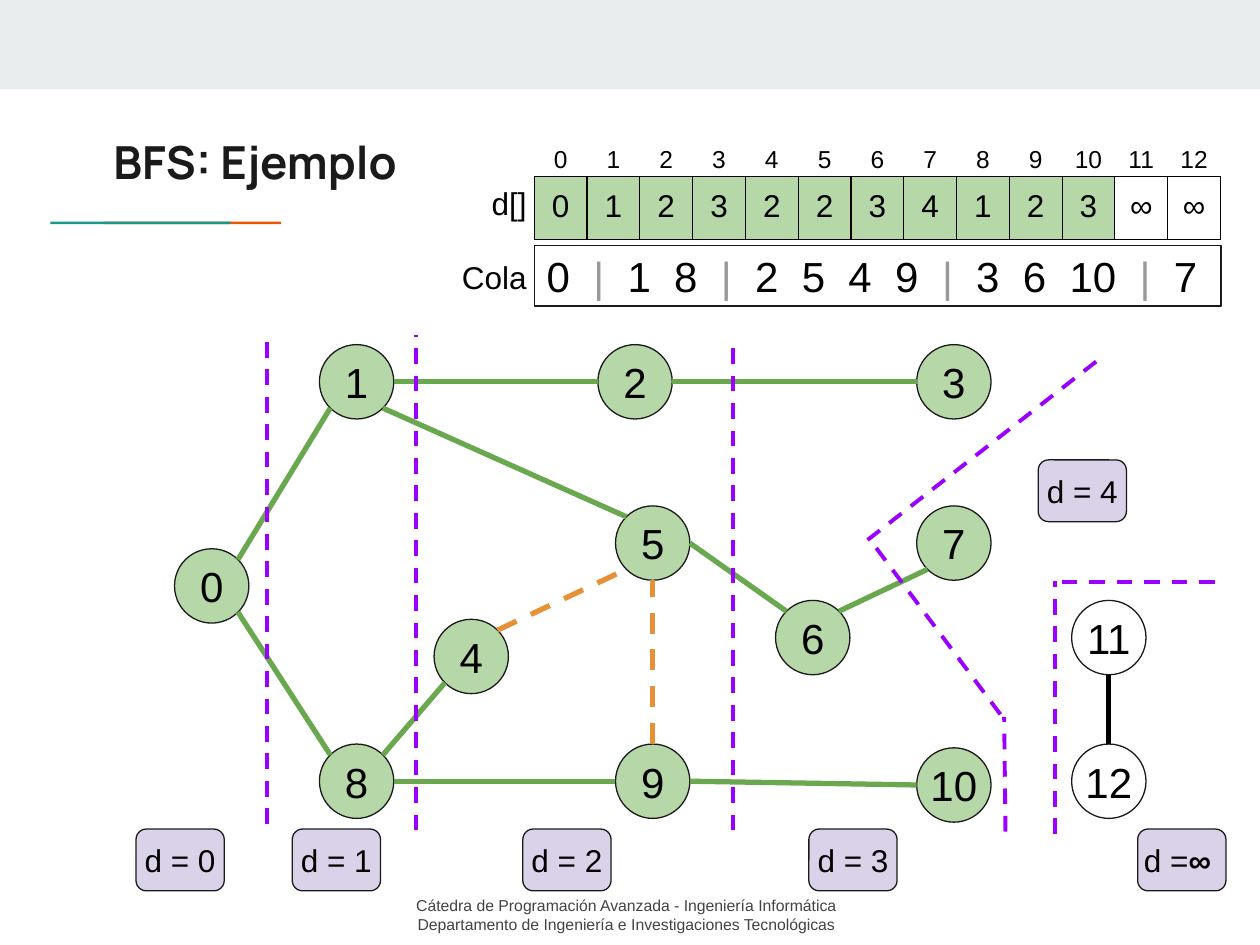
import math
from collections import namedtuple

import pptx
import pptx.dml.color
import pptx.enum.dml
import pptx.enum.shapes
import pptx.enum.text
import pptx.oxml.ns
import pptx.util
from lxml import etree

SHAPE = pptx.enum.shapes.MSO_SHAPE
ALIGN = pptx.enum.text.PP_ALIGN
ANCHOR = pptx.enum.text.MSO_ANCHOR
INK, BLACK, GREY = "1A1A1A", "000000", "999999"
VISITED, LEVEL, CUT = "B6D7A8", "D9D2E9", "9900FF"
TREE, CROSS = "6AA84F", "E69138"
RADIUS = 0.295
E, SE, S, SW, W, NW, N, NE = range(8)

Box = namedtuple("Box", "left top width height")

NODES = {
    "0": (0.68, 2.15), "1": (1.83, 0.53), "8": (1.83, 3.7), "4": (2.74, 2.71),
    "2": (4.04, 0.53), "9": (4.18, 3.7), "3": (6.57, 0.53), "5": (4.18, 1.81),
    "6": (5.45, 2.56), "7": (6.57, 1.81), "10": (6.57, 3.73),
    "11": (7.8, 2.56), "12": (7.8, 3.7),
}
UNREACHED = ("11", "12")
EDGES = [
    ("0", NE, "1", SW, TREE), ("1", E, "2", W, TREE), ("0", SE, "8", NW, TREE),
    ("8", NE, "4", SW, TREE), ("8", E, "9", W, TREE), ("9", E, "10", W, TREE),
    ("9", N, "5", S, CROSS), ("2", E, "3", W, TREE), ("4", NE, "5", SW, CROSS),
    ("1", SE, "5", NW, TREE), ("5", E, "6", NW, TREE), ("6", NE, "7", SW, TREE),
    ("12", N, "11", S, BLACK),
]
CUTS = [
    ((1.12, 4.04), (1.12, 0.17)), ((2.3, 4.09), (2.3, 0.16)),
    ((4.82, 4.09), (4.82, 0.2)), ((6.94, 3.17), (5.91, 1.79)),
    ((7.7, 0.37), (5.88, 1.79)), ((7.37, 4.12), (7.37, 2.11)),
    ((8.64, 2.12), (7.36, 2.12)), ((6.98, 4.1), (6.97, 3.19)),
]
LEVELS = [
    (0.08, 4.08, ["d = 0"]), (1.32, 4.08, ["d = 1"]), (3.15, 4.08, ["d = 2"]),
    (5.42, 4.08, ["d = 3"]), (7.24, 1.15, ["d = 4"]), (8.03, 4.08, ["d =", "∞ "]),
]
DISTANCES = ["0", "1", "2", "3", "2", "2", "3", "4", "1", "2", "3", "∞", "∞"]
QUEUE = ["0  ", "|", "  1  8  ", "|", "  2  5  4  9  ", "| ", " 3  6  10  ", "| ", " 7"]


def colour(value):
    """Turn a hex string into a colour."""
    return pptx.dml.color.RGBColor.from_string(value)


def inches(*lengths):
    """Turn grid units, ten columns to the slide's width, into lengths."""
    return [pptx.util.Inches(length) for length in lengths]


def within(box, left, top, width, height):
    """Place a part relative to the corner of its region."""
    return Box(box.left + left, box.top + top, width, height)


def add_run(paragraph, text, size, ink=BLACK, bold=None, font="Arial"):
    """Add one formatted run."""
    run = paragraph.add_run()
    run.text = text
    run.font.size = pptx.util.Pt(size)
    run.font.name = font
    run.font.bold = bold
    run.font.color.rgb = colour(ink)


def prepare_frame(shape, side=0.1, right=None, anchor=ANCHOR.TOP, align=ALIGN.LEFT):
    """Set up a text frame and return its first paragraph."""
    frame = shape.text_frame
    frame.word_wrap = True
    frame.vertical_anchor = anchor
    frame.margin_left, frame.margin_right = inches(side, side if right is None else right)
    frame.margin_top, frame.margin_bottom = inches(0.1, 0.1)
    frame.paragraphs[0].alignment = align
    return frame.paragraphs[0]


def add_shape(slide, kind, box, fill=None, outline=None):
    """Add a flat preset shape."""
    shape = slide.shapes.add_shape(kind, *inches(*box))
    shape.shadow.inherit = False
    if fill:
        shape.fill.solid()
        shape.fill.fore_color.rgb = colour(fill)
    else:
        shape.fill.background()
    if outline:
        shape.line.color.rgb = colour(outline)
        shape.line.width = pptx.util.Pt(0.75)
    else:
        shape.line.fill.background()
    return shape


def add_line(slide, start, end, ink, width, dashed):
    """Add a straight line without a shadow."""
    line = slide.shapes.add_connector(
        pptx.enum.shapes.MSO_CONNECTOR.STRAIGHT, *inches(*start, *end))
    line.line.color.rgb = colour(ink)
    line.line.width = pptx.util.Pt(width)
    if dashed:
        line.line.dash_style = pptx.enum.dml.MSO_LINE.DASH
    etree.SubElement(line._element.spPr, pptx.oxml.ns.qn("a:effectLst"))


def set_borders(cell, ink=None):
    """Draw or hide the four borders of a cell."""
    qn = pptx.oxml.ns.qn
    properties = cell._tc.get_or_add_tcPr()
    for position, side in enumerate("LRTB"):
        border = etree.Element(qn(f"a:ln{side}"), w=str(pptx.util.Pt(0.75)))
        fill = etree.SubElement(border, qn("a:solidFill" if ink else "a:noFill"))
        if ink:
            etree.SubElement(fill, qn("a:srgbClr"), val=ink)
        properties.insert(position, border)


def add_row(slide, box, values, size, border=None, filled=0):
    """Add a table of one row, its first cells filled."""
    table = slide.shapes.add_table(1, len(values), *inches(*box)).table
    table.first_row = table.horz_banding = False
    for index, value in enumerate(values):
        cell = table.cell(0, index)
        cell.margin_left, cell.margin_right, cell.margin_top, cell.margin_bottom = inches(*[0.1] * 4)
        cell.text_frame.paragraphs[0].alignment = ALIGN.CENTER
        add_run(cell.text_frame.paragraphs[0], value, size)
        if index < filled:
            cell.fill.solid()
            cell.fill.fore_color.rgb = colour(VISITED)
        else:
            cell.fill.background()
        set_borders(cell, border)


def add_heading(slide, box):
    """Place the top band, the title and its two-coloured rule."""
    add_shape(slide, SHAPE.RECTANGLE, within(box, 0, 0, box.width, 0.71), "E9EDEE")
    add_shape(slide, SHAPE.RECTANGLE, within(box, 0.82, 1.76, 1.41, 0.02), "EB5600")
    add_shape(slide, SHAPE.RECTANGLE, within(box, 0.4, 1.76, 1.43, 0.02), "1A9988")
    title = slide.shapes.title
    title.left, title.top, title.width, title.height = inches(*within(box, 0.8, 0.96, 8.41, 0.78))
    add_run(prepare_frame(title), "BFS: Ejemplo", 26, INK, True, "Manrope")


def add_graph(slide, box):
    """Place nodes, edges, level cuts and level labels."""
    for name, (x, y) in NODES.items():
        fill = None if name in UNREACHED else VISITED
        place = within(box, x - RADIUS, y - RADIUS, 2 * RADIUS, 2 * RADIUS)
        node = add_shape(slide, SHAPE.OVAL, place, fill, INK)
        add_run(prepare_frame(node, 0.02, None, ANCHOR.MIDDLE, ALIGN.CENTER), name, 24)

    def rim(name, direction):
        """Find the point of a node's rim in one of eight directions."""
        angle = direction * math.pi / 4
        x, y = NODES[name]
        return (box.left + x + RADIUS * math.cos(angle), box.top + y + RADIUS * math.sin(angle))

    for first, leaving, second, entering, ink in EDGES:
        add_line(slide, rim(first, leaving), rim(second, entering), ink, 3, ink == CROSS)
    for ends in CUTS:
        start, end = [(box.left + x, box.top + y) for x, y in ends]
        add_line(slide, start, end, CUT, 2.25, True)
    for left, top, texts in LEVELS:
        label = add_shape(slide, SHAPE.ROUNDED_RECTANGLE, within(box, left, top, 0.7, 0.49), LEVEL, INK)
        paragraph = prepare_frame(label, 0.02, None, ANCHOR.MIDDLE, ALIGN.CENTER)
        for text in texts:
            add_run(paragraph, text, 18, bold="∞" in text)


def add_state(slide, box):
    """Place the distance array and the queue with their captions."""
    caption, row = 1.11, box.width - 1.11
    queue = add_shape(slide, SHAPE.RECTANGLE, within(box, caption, 0.89, row, 0.48), None, INK)
    paragraph = prepare_frame(queue, anchor=ANCHOR.MIDDLE)
    for text in QUEUE:
        add_run(paragraph, text, 24, GREY if "|" in text else BLACK)
    for text, top in (("Cola", 0.89), ("d[]", 0.3)):
        name = slide.shapes.add_textbox(*inches(*within(box, 0, top, caption, 0.48)))
        add_run(prepare_frame(name, 0.02, 0.06, align=ALIGN.RIGHT), text, 18)
    reached = len(DISTANCES) - len(UNREACHED)
    add_row(slide, within(box, caption, 0.34, row, 0.42), DISTANCES, 18, BLACK, reached)
    indices = [str(index) for index in range(len(DISTANCES))]
    add_row(slide, within(box, caption, 0, row, 0.42), indices, 14)


def add_footer(slide, box):
    """Place the two centred footer lines."""
    footer = slide.shapes.add_textbox(*inches(*box))
    first = prepare_frame(footer, align=ALIGN.CENTER)
    add_run(first, "Cátedra de Programación Avanzada - Ingeniería Informática", 9, "434343")
    second = footer.text_frame.add_paragraph()
    second.alignment = ALIGN.CENTER
    add_run(second, "Departamento de Ingeniería e Investigaciones Tecnológicas", 9, "434343")


def main():
    """Build and save the slide."""
    presentation = pptx.Presentation()
    presentation.slide_width, presentation.slide_height = inches(10, 7.5)
    slide = presentation.slides.add_slide(presentation.slide_layouts.get_by_name("Title Only"))
    add_heading(slide, Box(0, 0, 10, 1.8))
    add_footer(slide, Box(0, 7.01, 9.94, 0.49))
    add_graph(slide, Box(1, 2.5, 8.75, 4.6))
    add_state(slide, Box(3.13, 1.06, 6.56, 1.37))
    presentation.save("out.pptx")


if __name__ == "__main__":
    main()
